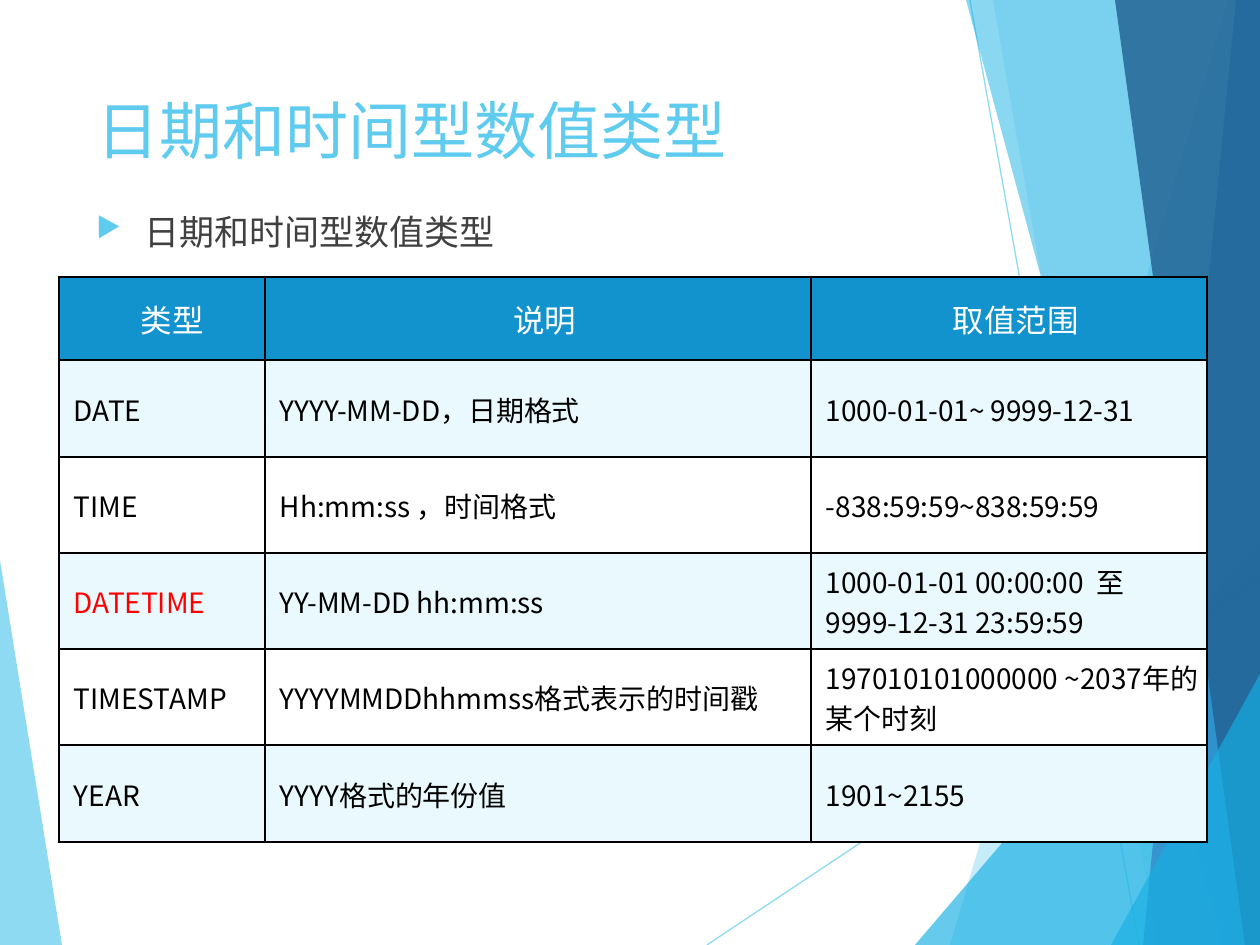
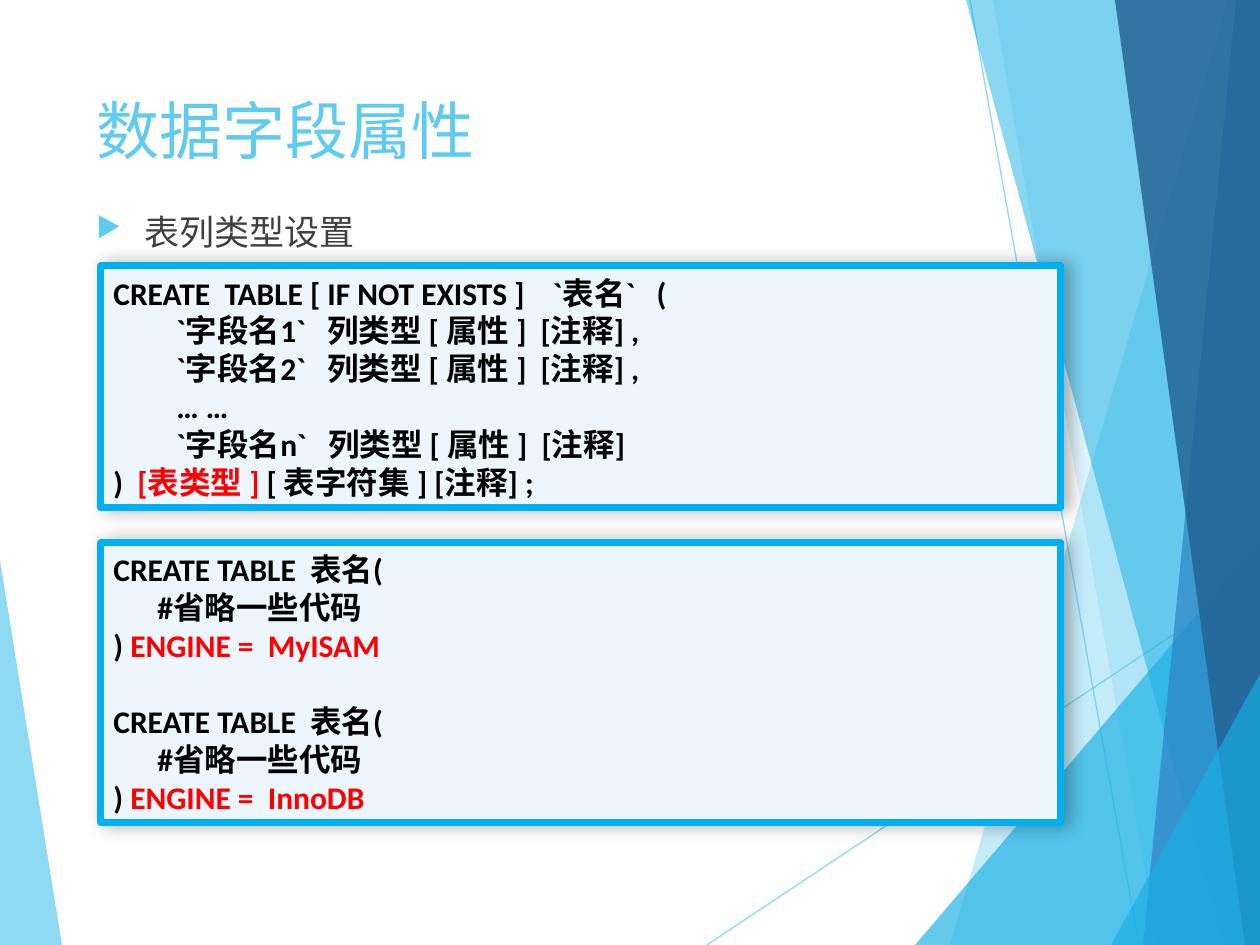
from lxml.etree import SubElement
from pptx import Presentation
from pptx.dml.color import RGBColor
from pptx.enum.shapes import MSO_CONNECTOR, MSO_SHAPE
from pptx.enum.text import MSO_ANCHOR, PP_ALIGN
from pptx.oxml.ns import qn
from pptx.util import Emu, Pt

SCALE = 914400 // 126
WIDTH, HEIGHT = 1260, 945
CJK, LATIN = "Noto Sans CJK SC", "Calibri"

SKY = RGBColor(0x5F, 0xCB, 0xEF)
CYAN = RGBColor(0x17, 0xB0, 0xE4)
BLUE = RGBColor(0x2E, 0x83, 0xC3)
NAVY = RGBColor(0x22, 0x62, 0x92)
HEADER = RGBColor(0x12, 0x93, 0xCD)
BAND = RGBColor(0xE9, 0xF9, 0xFD)
CODE_FILL = RGBColor(0xED, 0xF5, 0xFD)
CODE_LINE = RGBColor(0x00, 0xB0, 0xF0)
GREY = RGBColor(0x40, 0x40, 0x40)
RED = RGBColor(0xFF, 0x00, 0x00)
WHITE = RGBColor(0xFF, 0xFF, 0xFF)
BLACK = RGBColor(0x00, 0x00, 0x00)

# Facets: side edge x, upper point, lower x at the slide's foot, colour, opacity
LEFT_FACET = (0, (0, 560), 62, SKY, 70)
RIGHT_FACETS = [
    (WIDTH, (1228, 0), 950, SKY, 36),
    (WIDTH, (993, 0), 1158, SKY, 20),
    (WIDTH, (WIDTH, 541), 915, CYAN, 66),
    (WIDTH, (966, 0), 1222, CYAN, 50),
    (WIDTH, (1236, 0), 1143, BLUE, 70),
    (WIDTH, (1115, 0), 1245, NAVY, 82),
    (WIDTH, (WIDTH, 674), 1111, CYAN, 66),
]
RAYS = [(707, HEIGHT, WIDTH, 577), (970, 0, 1139, HEIGHT)]

TYPES = [
    (" 类型", "说明", "取值范围"),
    ("DATE", "YYYY-MM-DD，日期格式", "1000-01-01~ 9999-12-31"),
    ("TIME", "Hh:mm:ss ，时间格式", "-838:59:59~838:59:59"),
    ("DATETIME", "YY-MM-DD hh:mm:ss",
     "1000-01-01 00:00:00  至\n9999-12-31 23:59:59"),
    ("TIMESTAMP", "YYYYMMDDhhmmss格式表示的时间戳",
     "197010101000000 ~2037年的某个时刻"),
    ("YEAR", "YYYY格式的年份值", "1901~2155"),
]
COLUMNS = (206, 546, 396)
ROWS = (83, 97, 96, 96, 96, 97)
HIGHLIGHT = "DATETIME"

# Code lines: indent, space before in points, runs of (text, colour)
FIELD = "`字段名{}`   列类型 [ 属性 ]  [注释] {}"
SYNTAX = [
    (0, 0, [("CREATE  TABLE [ IF NOT EXISTS ]    `表名`   (", BLACK)]),
    (63, 0, [(FIELD.format(1, ","), BLACK)]),
    (63, 0, [(FIELD.format(2, ","), BLACK)]),
    (63, 0, [("… …", BLACK)]),
    (63, 0, [(FIELD.format("n", ""), BLACK)]),
    (0, 0, [(")  ", BLACK), ("[表类型 ] ", RED),
            ("[ 表字符集 ] [注释] ;", BLACK)]),
]
ENGINES = [("MyISAM", 0), ("InnoDB", 22)]
EXAMPLES = [line for engine, gap in ENGINES for line in (
    (0, gap, [("CREATE TABLE  表名(", BLACK)]),
    (44, 0, [("#省略一些代码", BLACK)]),
    (0, 0, [(") ", BLACK), (f"ENGINE =  {engine}", RED)]),
)]


def px(*lengths):
    """Turn pixel lengths into EMU."""
    return [Emu(round(length * SCALE)) for length in lengths]


def set_alpha(parent, percent):
    """Give the colour inside a fill or line an opacity."""
    colour = next(parent.iter(qn("a:srgbClr")))
    SubElement(colour, qn("a:alpha"), val=str(percent * 1000))


def set_font(para, name, size, colour=None, bold=None):
    """Format a whole paragraph; a CJK face also serves East Asian text."""
    font = para.font
    font.name, font.size, font.bold = name, Pt(size), bold
    if colour is not None:
        font.color.rgb = colour
    if name == CJK:
        SubElement(font._element, qn("a:ea"), typeface=name)


def add_facet(page, edge, top, foot, colour, opacity):
    """Draw one translucent facet that leans on a side of the slide."""
    builder = page.shapes.build_freeform(*top, scale=SCALE)
    builder.add_line_segments(
        [(foot, HEIGHT), (edge, HEIGHT), (edge, top[1])], close=True)
    facet = builder.convert_to_shape()
    facet.shadow.inherit = False
    facet.fill.solid()
    facet.fill.fore_color.rgb = colour
    set_alpha(facet._element.spPr, opacity)
    facet.line.fill.background()


def add_ray(page, *ends):
    """Draw one thin translucent line."""
    ray = page.shapes.add_connector(MSO_CONNECTOR.STRAIGHT, *px(*ends))
    ray.line.color.rgb = SKY
    ray.line.width = Pt(0.75)
    set_alpha(ray._element.spPr, 70)
    SubElement(ray._element.spPr, qn("a:effectLst"))


def add_bullet(page, text):
    """Write the bulleted line under the title."""
    box = page.shapes.add_textbox(*px(84, 204, 1062, 607))
    box.text_frame.word_wrap = True
    para = box.text_frame.paragraphs[0]
    para.text = text
    para.space_before = Pt(10)
    props = para._p.get_or_add_pPr()
    indent = px(48)[0]
    props.set("marL", str(indent))
    props.set("indent", str(-indent))
    colour = SubElement(props, qn("a:buClr"))
    SubElement(colour, qn("a:srgbClr"), val=str(SKY))
    SubElement(props, qn("a:buSzPct"), val="80000")
    SubElement(props, qn("a:buChar"), char="▶")
    set_font(para, CJK, 20, GREY)


def add_page(deck, title, bullet):
    """Add a slide with the shared facets, title and bulleted line."""
    page = deck.slides.add_slide(deck.slide_layouts[5])
    add_facet(page, *LEFT_FACET)
    for ends in RAYS:
        add_ray(page, *ends)
    for facet in RIGHT_FACETS:
        add_facet(page, *facet)
    heading = page.shapes.title
    heading.left, heading.top, heading.width, heading.height = px(84, 84, 1062, 90)
    frame = heading.text_frame
    frame.text = title
    frame.vertical_anchor = MSO_ANCHOR.MIDDLE
    frame.paragraphs[0].alignment = PP_ALIGN.LEFT
    set_font(frame.paragraphs[0], CJK, 36, SKY)
    page.shapes._spTree.append(heading._element)
    add_bullet(page, bullet)
    return page


def set_borders(cell):
    """Rule all four sides of a cell in black, ahead of its fill."""
    props = cell._tc.get_or_add_tcPr()
    for place, side in enumerate(("a:lnL", "a:lnR", "a:lnT", "a:lnB")):
        border = SubElement(props, qn(side), w=str(Pt(1)))
        fill = SubElement(border, qn("a:solidFill"))
        SubElement(fill, qn("a:srgbClr"), val=str(BLACK))
        props.insert(place, border)


def format_cell(cell, text, row):
    """Fill one table cell by the rule of its row."""
    cell.text = text
    cell.vertical_anchor = MSO_ANCHOR.MIDDLE
    cell.margin_left, cell.margin_right = px(15, 1)
    cell.margin_top, cell.margin_bottom = px(1, 0)
    cell.fill.solid()
    cell.fill.fore_color.rgb = HEADER if row == 0 else BAND if row % 2 else WHITE
    set_borders(cell)
    for para in cell.text_frame.paragraphs:
        if row == 0:
            para.alignment = PP_ALIGN.CENTER
            set_font(para, CJK, 18, WHITE)
        else:
            set_font(para, CJK, 16, RED if text == HIGHLIGHT else BLACK)


def add_type_table(page, left, top):
    """Build the table of date and time types."""
    table = page.shapes.add_table(
        len(ROWS), len(COLUMNS),
        *px(left, top, sum(COLUMNS), sum(ROWS))).table
    for column, width in zip(table.columns, px(*COLUMNS)):
        column.width = width
    for row, height in zip(table.rows, px(*ROWS)):
        row.height = height
    for row, texts in enumerate(TYPES):
        for column, text in enumerate(texts):
            format_cell(table.cell(row, column), text, row)


def add_code_box(page, top, height, lines):
    """Draw a framed box of code with a soft shadow."""
    box = page.shapes.add_shape(MSO_SHAPE.RECTANGLE, *px(101, top, 960, height))
    box.fill.solid()
    box.fill.fore_color.rgb = CODE_FILL
    box.line.color.rgb = CODE_LINE
    box.line.width = Pt(4)
    effects = SubElement(box._element.spPr, qn("a:effectLst"))
    shadow = SubElement(effects, qn("a:outerShdw"),
                        blurRad=str(Pt(10)), dist=str(Pt(3)), dir="0")
    SubElement(shadow, qn("a:srgbClr"), val=str(BLACK))
    set_alpha(shadow, 30)
    frame = box.text_frame
    frame.word_wrap = True
    frame.vertical_anchor = MSO_ANCHOR.MIDDLE
    for number, (indent, gap, runs) in enumerate(lines):
        para = frame.add_paragraph() if number else frame.paragraphs[0]
        para.alignment = PP_ALIGN.JUSTIFY
        para.space_before = Pt(gap)
        para._p.get_or_add_pPr().set("marL", str(px(indent)[0]))
        set_font(para, LATIN, 18, bold=True)
        for text, colour in runs:
            span = para.add_run()
            span.text = text
            span.font.color.rgb = colour


def main():
    """Build and save the deck."""
    deck = Presentation()
    deck.slide_width, deck.slide_height = px(WIDTH, HEIGHT)
    page = add_page(deck, "日期和时间型数值类型", "日期和时间型数值类型")
    add_type_table(page, 59, 277)
    page = add_page(deck, "数据字段属性", "表列类型设置")
    add_code_box(page, 266, 242, SYNTAX)
    add_code_box(page, 543, 280, EXAMPLES)
    deck.save("out.pptx")


main()
